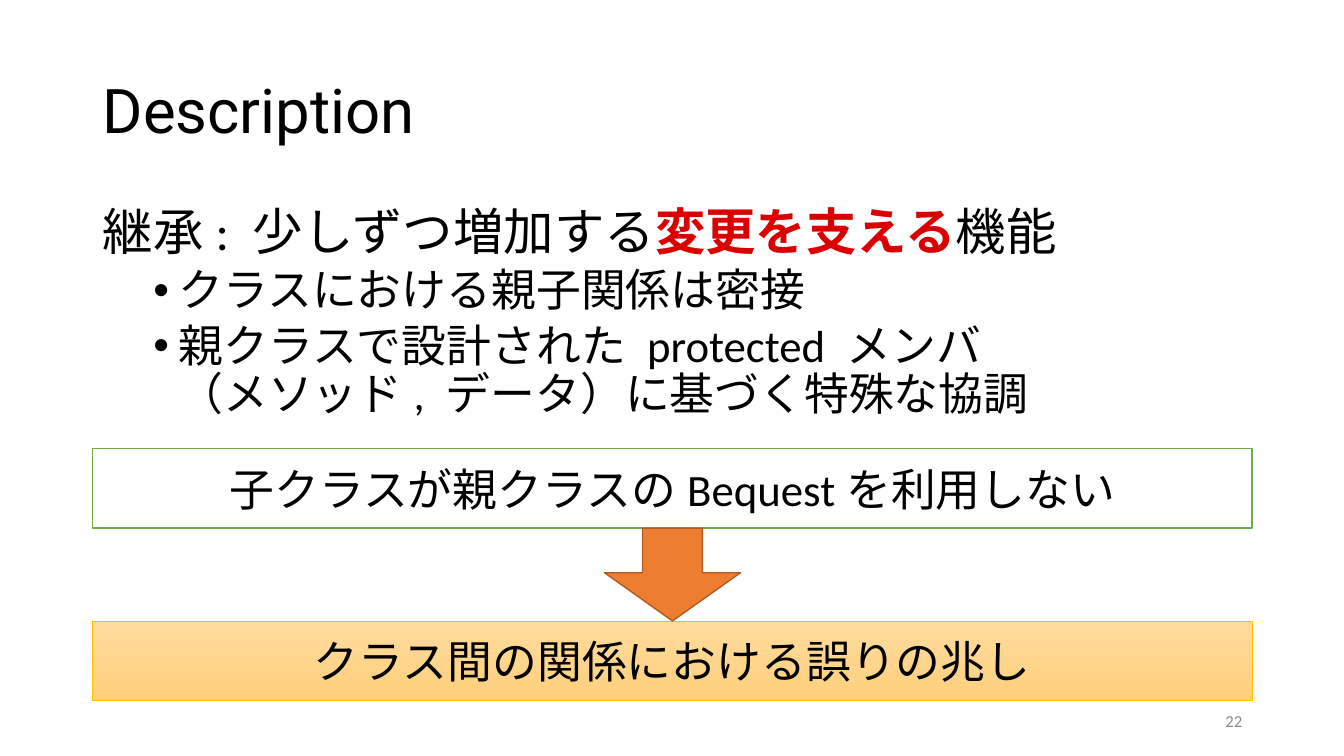
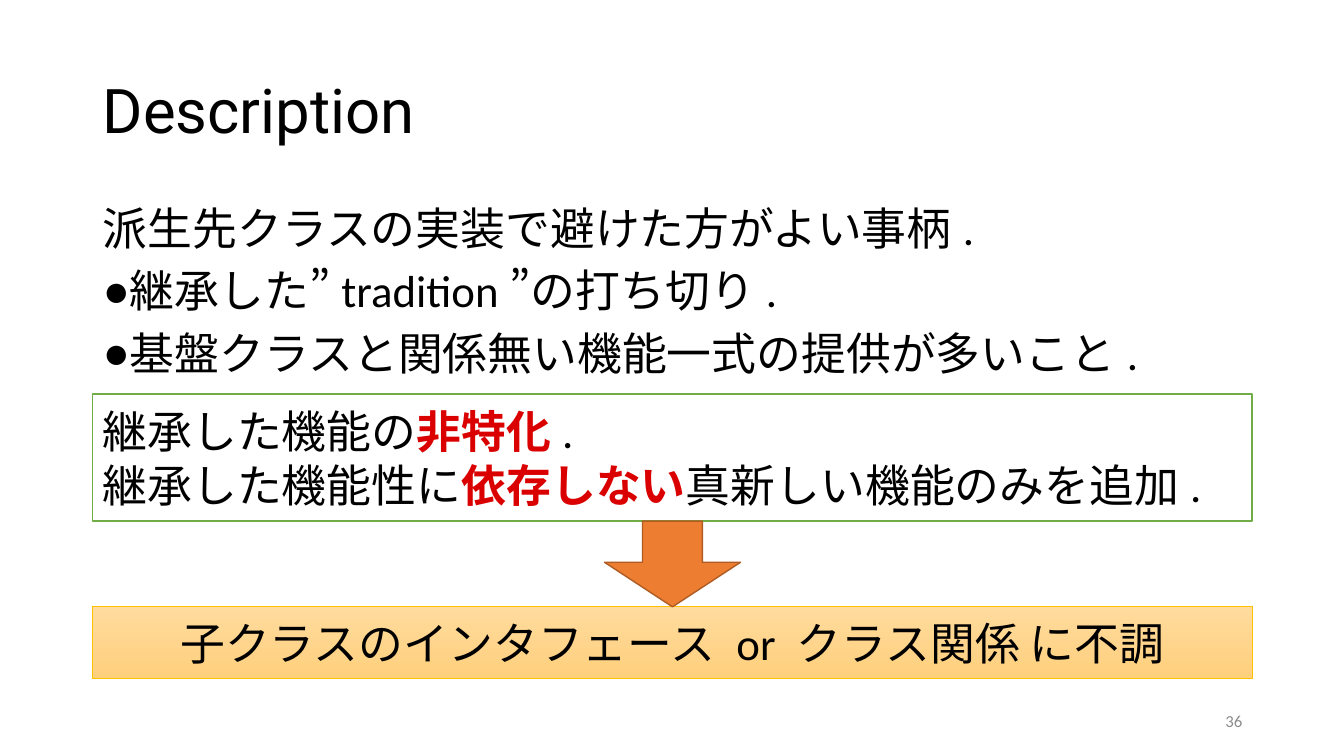
from lxml import etree
from pptx import Presentation
from pptx.dml.color import RGBColor
from pptx.enum import lang, shapes, text
from pptx.oxml import ns
from pptx.util import Inches, Pt

BLACK = RGBColor(0x00, 0x00, 0x00)
WHITE = RGBColor(0xFF, 0xFF, 0xFF)
RED = RGBColor(0xDA, 0x00, 0x00)
GREEN = RGBColor(0x70, 0xAD, 0x47)
GOLD = RGBColor(0xFF, 0xC0, 0x00)
ORANGE = RGBColor(0xED, 0x7D, 0x31)
RUST = RGBColor(0xAF, 0x5C, 0x24)
GRAY = RGBColor(0x8C, 0x8C, 0x8C)
SHADES = RGBColor(0xFF, 0xDB, 0x9E), RGBColor(0xFF, 0xD0, 0x7C)

# Content: *marked* words are red; body lines are (level, bullet, size, text)
# Boxes are (top, height) in inches
SLIDES = [
    dict(
        number="22",
        body=[
            (0, "", 36, "継承: 少しずつ増加する*変更を支える*機能"),
            (1, "•", 32, "クラスにおける親子関係は密接"),
            (1, "•", 32, "親クラスで設計された protected メンバ\n"
                         "（メソッド, データ）に基づく特殊な協調"),
        ],
        gap=5,
        cause="子クラスが親クラスのBequestを利用しない",
        align=text.PP_ALIGN.CENTER,
        cause_box=(4.45, 0.79),
        result="クラス間の関係における誤りの兆し",
        result_box=(6.16, 0.79),
    ),
    dict(
        number="36",
        body=[
            (0, "", 32, "派生先クラスの実装で避けた方がよい事柄."),
            (0, "●", 32, "継承した”tradition”の打ち切り."),
            (0, "●", 32, "基盤クラスと関係無い機能一式の提供が多いこと."),
        ],
        gap=10,
        cause="継承した機能の*非特化*.\n"
              "継承した機能性に*依存しない*真新しい機能のみを追加.",
        align=text.PP_ALIGN.LEFT,
        cause_box=(3.91, 1.26),
        result="子クラスのインタフェース or クラス関係 に不調",
        result_box=(6.02, 0.71),
    ),
]

# Shared grid
WIDE, HIGH = 13.33, 7.5
LEFT, SPAN = 0.92, 11.5
BODY_TOP = 2
ARROW = 1.35
NUM_W, NUM_H = 3, 0.4


def place(item, left, top, width, height):
    item.left, item.top = Inches(left), Inches(top)
    item.width, item.height = Inches(width), Inches(height)


def write(para, words, size, color=BLACK, font="Calibri"):
    for i, part in enumerate(words.split("*")):
        for j, line in enumerate(part.split("\n")):
            if j:
                para.add_line_break()
            if line:
                run = para.add_run()
                run.text = line
                run.font.name, run.font.size = font, Pt(size)
                run.font.bold = i % 2 == 1
                run.font.color.rgb = RED if i % 2 else color
                run.font.language_id = lang.MSO_LANGUAGE_ID.JAPANESE


def set_bullet(para, level, mark):
    props = para._p.get_or_add_pPr()
    hang = Inches(0.25) if mark else 0
    props.set("marL", str(Inches(0.5 * level) + hang))
    props.set("indent", str(-hang))
    if mark:
        etree.SubElement(props, ns.qn("a:buChar")).set("char", mark)
    else:
        etree.SubElement(props, ns.qn("a:buNone"))


def fill_body(body, lines, gap):
    frame = body.text_frame
    frame.auto_size = text.MSO_AUTO_SIZE.NONE
    for i, (level, mark, size, words) in enumerate(lines):
        para = frame.add_paragraph() if i else frame.paragraphs[0]
        para.level = level
        set_bullet(para, level, mark)
        para.line_spacing = 0.9
        para.space_before = Pt(gap if i else 0)
        write(para, words, size)


def add_shape(slide, kind, at, line, weight):
    shape = slide.shapes.add_shape(kind, *map(Inches, at))
    shape.shadow.inherit = False
    shape.line.color.rgb = line
    shape.line.width = Pt(weight)
    return shape


def add_box(slide, spot, words, align, line, weight):
    top, height = spot
    box = add_shape(slide, shapes.MSO_SHAPE.RECTANGLE,
                    (LEFT, top, SPAN, height), line, weight)
    frame = box.text_frame
    frame.word_wrap = True
    frame.vertical_anchor = text.MSO_ANCHOR.MIDDLE
    para = frame.paragraphs[0]
    para.alignment = align
    write(para, words, 32)
    return box


def add_arrow(slide, top, end):
    arrow = add_shape(slide, shapes.MSO_SHAPE.DOWN_ARROW,
                      (LEFT + (SPAN - ARROW) / 2, top, ARROW, end - top),
                      RUST, 1)
    arrow.adjustments[0], arrow.adjustments[1] = 0.44, 0.52
    arrow.fill.solid()
    arrow.fill.fore_color.rgb = ORANGE


def add_number(slide, number):
    box = slide.shapes.add_textbox(
        *map(Inches, (LEFT + SPAN - NUM_W, 6.95, NUM_W, NUM_H)))
    frame = box.text_frame
    frame.word_wrap = True
    frame.vertical_anchor = text.MSO_ANCHOR.MIDDLE
    frame.paragraphs[0].alignment = text.PP_ALIGN.RIGHT
    write(frame.paragraphs[0], number, 12, GRAY)


def add_slide(deck, layout, data):
    slide = deck.slides.add_slide(layout)
    title, body = slide.placeholders

    # Title and list
    para = title.text_frame.paragraphs[0]
    para.alignment = text.PP_ALIGN.LEFT
    para.line_spacing = 0.9
    write(para, "Description", 44, font="Roboto")
    top, height = data["cause_box"]
    place(body, LEFT, BODY_TOP, SPAN, top - BODY_TOP)
    fill_body(body, data["body"], data["gap"])

    # Cause, result and the arrow between them
    cause = add_box(slide, data["cause_box"], data["cause"],
                    data["align"], GREEN, 1)
    cause.fill.solid()
    cause.fill.fore_color.rgb = WHITE
    result = add_box(slide, data["result_box"], data["result"],
                     text.PP_ALIGN.CENTER, GOLD, 0.5)
    result.fill.gradient()
    result.fill.gradient_angle = 270
    for stop, shade in zip(result.fill.gradient_stops, SHADES):
        stop.color.rgb = shade
    add_arrow(slide, top + height, data["result_box"][0])
    add_number(slide, data["number"])


def main():
    deck = Presentation()
    deck.slide_width, deck.slide_height = Inches(WIDE), Inches(HIGH)
    layout = deck.slide_layouts[1]
    title = layout.placeholders[0]
    place(title, LEFT, 0.4, SPAN, 1.45)
    title.text_frame.vertical_anchor = text.MSO_ANCHOR.MIDDLE
    for data in SLIDES:
        add_slide(deck, layout, data)
    deck.save("out.pptx")


if __name__ == "__main__":
    main()
